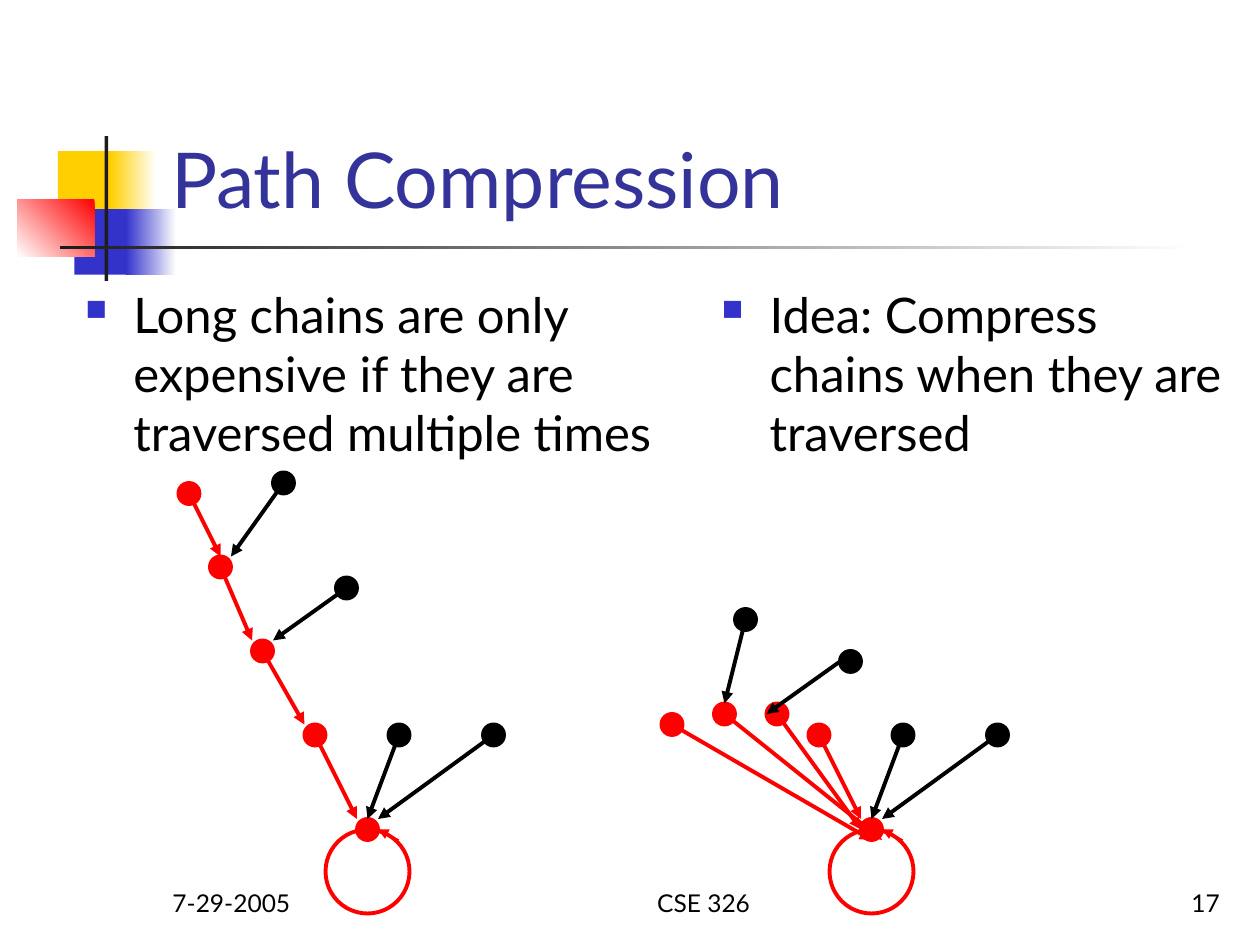
from lxml import etree
from pptx import Presentation
from pptx.dml.color import RGBColor
from pptx.enum.shapes import MSO_CONNECTOR, MSO_SHAPE
from pptx.enum.text import MSO_ANCHOR, PP_ALIGN
from pptx.oxml.ns import qn
from pptx.util import Inches, Pt

RECT, OVAL = MSO_SHAPE.RECTANGLE, MSO_SHAPE.OVAL
LINE = MSO_CONNECTOR.STRAIGHT
TOP, BOTTOM = MSO_ANCHOR.TOP, MSO_ANCHOR.BOTTOM
LEFT, MID, RIGHT = PP_ALIGN.LEFT, PP_ALIGN.CENTER, PP_ALIGN.RIGHT

FONT = "Lato"
RED, BLACK, WHITE = "FF0000", "000000", "FFFFFF"
GOLD, BLUE, DARK, NAVY = "FFCF01", "3333CC", "1C1C1C", "333399"
UNIT = 1 / 12  # the trees sit on a grid of twelve cells to the inch

# Decoration: box in inches, first colour, fade-to colour, angle
DECOR = [
    ((0.46, 1.2, 0.48, 0.52), GOLD, None, 0),
    ((0.88, 1.2, 0.36, 0.52), WHITE, GOLD, 180),
    ((0.59, 1.66, 0.46, 0.52), BLUE, None, 0),
    ((1, 1.66, 0.4, 0.52), WHITE, BLUE, 180),
    ((0.14, 1.58, 0.61, 0.46), RED, WHITE, 225),
    ((0.83, 1.08, 0.03, 1.15), DARK, None, 0),
    ((0.48, 1.95, 9, 0.03), WHITE, DARK, 180),
]
TITLE = "Path Compression"
BODY = [
    ("Long chains are only expensive if they are traversed multiple times",
     (0.58, 2.21, 4.88, 4.5)),
    ("Idea: Compress chains when they are traversed",
     (5.63, 2.21, 4.17, 4.5)),
]
FOOT = [
    ("7-29-2005", (1.27, 6.83, 2.08, 0.5), LEFT),
    ("CSE 326", (4, 6.83, 3.17, 0.5), MID),
    ("17", (7.7, 6.83, 2.08, 0.5), RIGHT),
]

# Nodes in grid cells: colour, centre, arrow start, arrow tip
ROOT = (35, 79)
BASE = [  # children of the root, the same in both trees
    (RED, (30, 70), (30, 70), (34, 78)),
    (BLACK, (38, 70), (38, 70), (35, 78)),
    (BLACK, (47, 70), (47, 70), (36, 78)),
]
CHAIN = [
    (RED, (18, 47), (18, 47), (21, 53)),
    (RED, (21, 54), (21, 54), (24, 61)),
    (RED, (25, 62), (25, 62), (29, 69)),
    (BLACK, (33, 56), (33, 56), (26, 61)),
    (BLACK, (27, 46), (27, 46), (22, 53)),
]
FLAT = [
    (RED, (16, 69), (16, 69), (35, 80)),
    (RED, (21, 68), (21, 68), (36, 80)),
    (RED, (26, 68), (26, 68), (34, 79)),
    (BLACK, (33, 63), (32, 63), (25, 68)),
    (BLACK, (23, 59), (23, 59), (21, 67)),
]
TREES = [(0, CHAIN), (48, FLAT)]  # shift to the right, own nodes

deck = Presentation()
deck.slide_width, deck.slide_height = Inches(10), Inches(7.5)
slide = deck.slides.add_slide(deck.slide_layouts[6])
shapes = slide.shapes


def rgb(code):
    return RGBColor.from_string(code)


def write(text, box, size=14, color=BLACK, align=LEFT, anchor=BOTTOM,
          bullet=False):
    frame = shapes.add_textbox(*map(Inches, box)).text_frame
    frame.word_wrap = True
    frame.vertical_anchor = anchor
    para = frame.paragraphs[0]
    para.alignment = align
    run = para.add_run()
    run.text = text
    run.font.name, run.font.size = FONT, Pt(size)
    run.font.color.rgb = rgb(color)
    if bullet:
        para.space_before = Pt(7)
        props = para._p.get_or_add_pPr()
        props.set("marL", str(Inches(0.38)))
        props.set("indent", str(-Inches(0.38)))
        tint = etree.SubElement(props, qn("a:buClr"))
        etree.SubElement(tint, qn("a:srgbClr"), val=BLUE)
        etree.SubElement(props, qn("a:buSzPct"), val="60000")
        etree.SubElement(props, qn("a:buChar"), char="■")


def block(box, color, fade, angle):
    part = shapes.add_shape(RECT, *map(Inches, box))
    part.shadow.inherit = False
    part.line.fill.background()
    if fade is None:
        part.fill.solid()
        part.fill.fore_color.rgb = rgb(color)
        return
    part.fill.gradient()
    part.fill.gradient_angle = angle
    for stop, tone in zip(part.fill.gradient_stops, (color, fade)):
        stop.color.rgb = rgb(tone)


def circle(x, y, size, color, solid=True):
    cells = (x - size / 2, y - size / 2, size, size)
    part = shapes.add_shape(OVAL, *(Inches(c * UNIT) for c in cells))
    part.shadow.inherit = False
    part.line.color.rgb, part.line.width = rgb(color), Pt(2.25)
    if solid:
        part.fill.solid()
        part.fill.fore_color.rgb = rgb(color)
    else:
        part.fill.background()


def arrow(start, tip, color, shift, width=2.25):
    (x, y), (u, v) = start, tip
    cells = (x + shift, y, u + shift, v)
    part = shapes.add_connector(LINE, *(Inches(c * UNIT) for c in cells))
    part.line.color.rgb, part.line.width = rgb(color), Pt(width)
    etree.SubElement(part.line._get_or_add_ln(), qn("a:tailEnd"),
                     type="triangle")
    etree.SubElement(part._element.spPr, qn("a:effectLst"))


# Decoration and text
for item in DECOR:
    block(*item)
write(TITLE, (1.26, 0.23, 8.52, 1.6), size=44, color=NAVY)
for text, box in BODY:
    write(text, box, size=28, anchor=TOP, bullet=True)

# Trees: nodes first, then arrows, then the loop on the root
for shift, own in TREES:
    nodes = own + BASE
    x, y = ROOT
    for color, (u, v), _, _ in nodes:
        circle(u + shift, v, 2, color)
    circle(x + shift, y, 2, RED)
    for color, _, start, tip in nodes:
        arrow(start, tip, color, shift)
    circle(x + shift, y + 4, 8, RED, solid=False)
    arrow((x + 3, y + 1), (x + 1, y), RED, shift, width=0.75)

# Footer
for text, box, align in FOOT:
    write(text, box, align=align)

deck.save("out.pptx")
